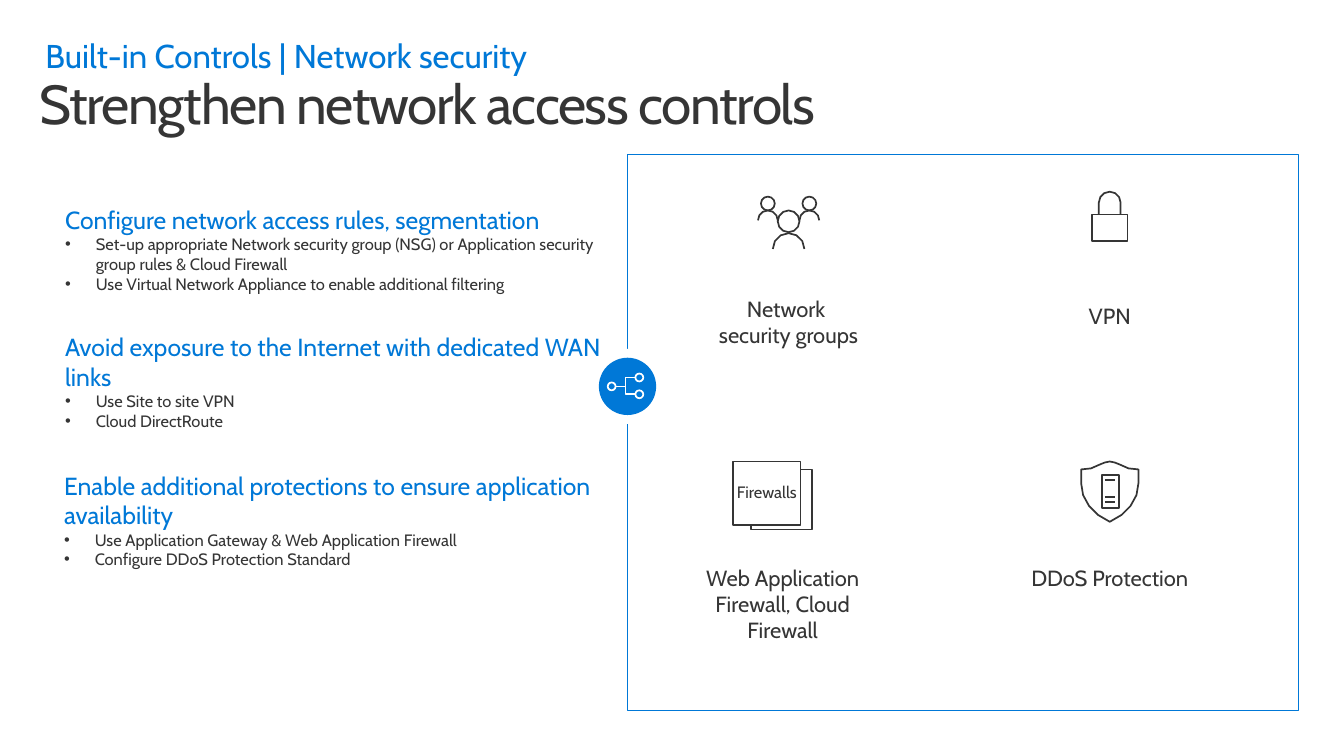
from dataclasses import dataclass
from math import cos, radians, sin

from lxml.etree import SubElement
from pptx import Presentation
from pptx.dml.color import RGBColor
from pptx.enum.shapes import MSO_SHAPE as Preset
from pptx.enum.text import MSO_ANCHOR as Anchor, PP_ALIGN as Align
from pptx.oxml.ns import qn
from pptx.shapes.autoshape import Shape
from pptx.slide import Slide
from pptx.text.text import TextFrame
from pptx.util import Inches, Pt

Point = tuple[float, float]
Box = tuple[float, float, float, float]
FONT = "Cabin"
COLORS = {"blue": "0078D7", "ink": "353535", "white": "FFFFFF"}
TOPIC_INSETS = (0.2, 0.16, 0.2, 0.16)


@dataclass
class Topic:
    at: Box
    heading: str
    bullets: list[str]


@dataclass
class Label:
    at: Box
    text: str


@dataclass
class Stroke:
    points: list[Point]
    closed: bool = False


TOPICS = [
    Topic((0.46, 1.91, 5.82, 1.26), "Configure network access rules, segmentation", [
        "Set-up appropriate Network security group (NSG) or Application security "
        "group rules & Cloud Firewall",
        "Use Virtual Network Appliance to enable additional filtering"]),
    Topic((0.46, 3.2, 5.97, 1.36), "Avoid exposure to the Internet with dedicated WAN links", [
        "Use Site to site VPN", "Cloud DirectRoute"]),
    Topic((0.45, 4.6, 5.83, 1.36),
          "Enable additional protections to ensure application availability", [
              "Use Application Gateway & Web Application Firewall",
              "Configure DDoS Protection Standard"]),
]
LABELS = [
    Label((6.93, 2.94, 2.1, 0.64), "Network \vsecurity groups"),
    Label((10.18, 5.66, 2.1, 0.36), "DDoS Protection"),
    Label((10.81, 3.01, 0.84, 0.37), "VPN"),
    Label((6.81, 5.66, 2.22, 0.64), "Web Application Firewall, Cloud Firewall"),
]


def rgb(name: str) -> RGBColor:
    return RGBColor.from_string(COLORS[name])


def add_preset(slide: Slide, preset: Preset, at: Box, fill: str | None = None,
               line: str | None = None, width: float = 1.25) -> Shape:
    shape = slide.shapes.add_shape(preset, *map(Inches, at))
    paint(shape, fill, line, width)
    return shape


def paint(shape: Shape, fill: str | None, line: str | None, width: float) -> None:
    shape.shadow.inherit = False
    if fill:
        shape.fill.solid()
        shape.fill.fore_color.rgb = rgb(fill)
    else:
        shape.fill.background()
    if line:
        shape.line.color.rgb = rgb(line)
        shape.line.width = Pt(width)
    else:
        shape.line.fill.background()


def set_up_frame(frame: TextFrame, insets: Box = (0.1, 0.05, 0.1, 0.05),
                 anchor: Anchor = Anchor.TOP, wrap: bool = True) -> TextFrame:
    frame.word_wrap = wrap
    frame.vertical_anchor = anchor
    (frame.margin_left, frame.margin_top,
     frame.margin_right, frame.margin_bottom) = map(Inches, insets)
    return frame


def add_frame(slide: Slide, at: Box, **layout) -> TextFrame:
    return set_up_frame(slide.shapes.add_textbox(*map(Inches, at)).text_frame, **layout)


def add_text(frame: TextFrame, text: str, *, size: float, color: str = "ink",
             align: Align = Align.LEFT, spacing: float = 1.0,
             bullet: bool = False, tracking: float = 0) -> None:
    """Fill the frame's empty first paragraph, or append a new one."""
    paragraph = frame.paragraphs[0] if not frame.text else frame.add_paragraph()
    paragraph.text = text
    paragraph.alignment = align
    paragraph.line_spacing = spacing
    if bullet:
        properties = paragraph._p.get_or_add_pPr()
        properties.set("marL", str(Inches(0.31)))
        properties.set("indent", str(-Inches(0.31)))
        SubElement(properties, qn("a:buFont")).set("typeface", "Arial")
        SubElement(properties, qn("a:buChar")).set("char", "•")
    for run in paragraph.runs:
        run.font.name = FONT
        run.font.size = Pt(size)
        run.font.color.rgb = rgb(color)
        if tracking:
            run._r.get_or_add_rPr().set("spc", str(int(tracking * 100)))


def arc(x: float, y: float, radius: float, start: int = 180, end: int = 360) -> list[Point]:
    return [(x + radius * cos(radians(a)), y + radius * sin(radians(a)))
            for a in range(start, end + 1, 30)]


def circle(x: float, y: float, radius: float) -> Stroke:
    return Stroke(arc(x, y, radius, 0, 330), closed=True)


def rectangle(left: float, top: float, right: float, bottom: float) -> Stroke:
    return Stroke([(left, top), (right, top), (right, bottom), (left, bottom)], closed=True)


def draw_icon(slide: Slide, strokes: list[Stroke], color: str = "ink",
              width: float = 1.25) -> None:
    builder = None
    for stroke in strokes:
        first, *rest = [(Inches(x), Inches(y)) for x, y in stroke.points]
        if builder is None:
            builder = slide.shapes.build_freeform(*first)
        else:
            builder.move_to(*first)
        builder.add_line_segments(rest, close=stroke.closed)
    paint(builder.convert_to_shape(), None, color, width)


def person(x: float, head_y: float, head: float, body_y: float, body: float) -> list[Stroke]:
    return [circle(x, head_y, head), Stroke(arc(x, body_y, body))]


def shield(x: float) -> Stroke:
    half = [(0, 4.67), (0.05, 4.68), (0.1, 4.7), (0.19, 4.74), (0.29, 4.75), (0.29, 4.89),
            (0.27, 5.01), (0.21, 5.12), (0.12, 5.21), (0, 5.28)]
    return Stroke([(x + dx, y) for dx, y in half]
                  + [(x - dx, y) for dx, y in half[-2:0:-1]], closed=True)


def main() -> None:
    deck = Presentation()
    deck.slide_width, deck.slide_height = Inches(13.6), Inches(7.65)
    slide = deck.slides.add_slide(deck.slide_layouts[6])

    add_preset(slide, Preset.RECTANGLE, (6.35, 1.56, 6.79, 5.63), line="blue", width=0.75)
    for topic in TOPICS:
        frame = add_frame(slide, topic.at, insets=TOPIC_INSETS)
        add_text(frame, topic.heading, size=18, color="blue")
        for bullet in topic.bullets:
            add_text(frame, bullet, size=12, bullet=True)
    add_text(add_frame(slide, (0.3, 0.73, 13, 1)), "Strengthen network access controls",
             size=40, spacing=0.9, tracking=-1)
    add_text(add_frame(slide, (0.3, 0.36, 5.38, 0.47), insets=(0.16, 0.05, 0.1, 0.05), wrap=False),
             "Built-in Controls | Network security", size=24, color="blue", spacing=0.9)

    add_preset(slide, Preset.OVAL, (5.97, 3.53, 0.76, 0.76), fill="white")
    add_preset(slide, Preset.OVAL, (6.06, 3.62, 0.58, 0.58), fill="blue")
    draw_icon(slide, [
        circle(6.19, 3.91, 0.04), circle(6.47, 3.82, 0.04), circle(6.47, 3.99, 0.04),
        Stroke([(6.43, 3.82), (6.33, 3.82), (6.33, 3.99), (6.43, 3.99)]),
        Stroke([(6.23, 3.91), (6.33, 3.91)])], color="white")

    for label in LABELS:
        plate = add_preset(slide, Preset.RECTANGLE, label.at, fill="white")
        add_text(set_up_frame(plate.text_frame), label.text, size=16, align=Align.CENTER)
    draw_icon(slide, person(7.98, 2.24, 0.11, 2.52, 0.16)
              + person(7.77, 2.06, 0.07, 2.23, 0.1) + person(8.19, 2.06, 0.07, 2.23, 0.1))
    draw_icon(slide, [shield(11.23)])
    draw_icon(slide, [rectangle(11.15, 4.81, 11.32, 5.14)]
              + [Stroke([(11.18, y), (11.28, y)]) for y in (4.86, 5.03, 5.08)])
    shackle = [(11.12, 2.17), *arc(11.23, 2.05, 0.11), (11.34, 2.17)]
    draw_icon(slide, [rectangle(11.05, 2.17, 11.41, 2.44), Stroke(shackle)])
    add_preset(slide, Preset.RECTANGLE, (7.6, 4.75, 0.62, 0.61), fill="white", line="ink")
    firewall = add_preset(slide, Preset.RECTANGLE, (7.42, 4.67, 0.68, 0.64),
                          fill="white", line="ink")
    add_text(set_up_frame(firewall.text_frame, insets=(0, 0, 0, 0), anchor=Anchor.MIDDLE),
             "Firewalls", size=12, align=Align.CENTER, spacing=0.9)
    deck.save("out.pptx")


if __name__ == "__main__":
    main()
